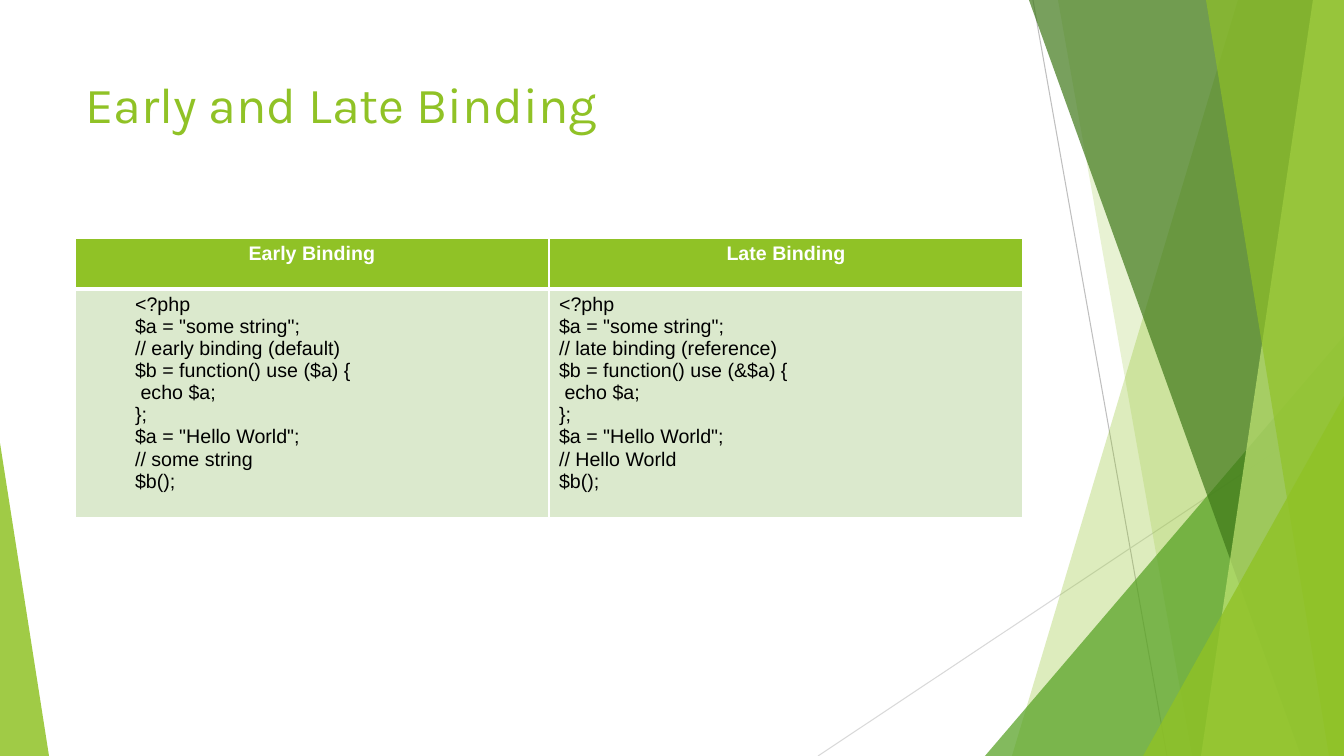
"""Build the slide that compares early and late binding in PHP closures."""
from lxml.etree import SubElement
from pptx import Presentation
from pptx.dml.color import RGBColor
from pptx.enum.shapes import MSO_CONNECTOR, MSO_SHAPE
from pptx.enum.text import MSO_ANCHOR, MSO_AUTO_SIZE, PP_ALIGN
from pptx.oxml import parse_xml
from pptx.oxml.ns import nsdecls, qn
from pptx.util import Emu, Pt

EMU_PER_PIXEL = 914400 / 100.8
SLIDE_WIDTH, SLIDE_HEIGHT = 1344, 756
COLORS = {
    "accent": "90C226",
    "leaf": "54A021",
    "forest": "3F7819",
    "lime": "C0E474",
    "pale": "DBE9CD",
    "steep_line": "BFBFBF",
    "flat_line": "D9D9D9",
    "white": "FFFFFF",
    "black": "000000",
}
TITLE_FONT = {"name": "Karla", "size": Pt(36), "bold": False}
HEADER_FONT = {"name": "Arial", "size": Pt(14), "bold": True}
CODE_FONT = {"name": "Arial", "size": Pt(14), "bold": False}

RAYS = [
    ("steep_line", (1033, 0), (1167, 756)),
    ("flat_line", (1344, 406), (818, 756)),
]
BACK_BANDS = [
    (1238, 1344, 1012, "accent", 30),
    (1058, 1344, 1192, "accent", 20),
]
FRONT_BANDS = [
    (1029, 1344, 1301, "forest", 70),
    (1313, 1344, 1201, "lime", 70),
    (1206, 1344, 1329, "accent", 65),
]
BACK_WEDGE = (985, 336, 359, 420), 1, "leaf", 72
FRONT_WEDGES = [
    ((1143, 396, 201, 360), 1, "accent", 80),
    ((0, 443, 49, 313), 0, "accent", 85),
]
CODE_TEMPLATE = """<?php
$a = "some string";
// {kind}
$b = function() use ({variable}) {{
 echo $a;
}};
$a = "Hello World";
// {result}
$b();"""
BINDINGS = [
    ("Early Binding", 50, {"kind": "early binding (default)", "variable": "$a", "result": "some string"}),
    ("Late Binding", 0, {"kind": "late binding (reference)", "variable": "&$a", "result": "Hello World"}),
]


def px(length):
    """Turn pixels into EMU."""
    return Emu(round(length * EMU_PER_PIXEL))


def rgb(color):
    """Look up a named colour."""
    return RGBColor.from_string(COLORS[color])


def format_font(font, color, values):
    """Apply format values and a colour to a font."""
    for attribute, value in values.items():
        setattr(font, attribute, value)
    font.color.rgb = rgb(color)


def tint(facet, color, opacity):
    """Give a facet a translucent fill without line or shadow."""
    facet.shadow.inherit = False
    facet.line.fill.background()
    facet.fill.solid()
    facet.fill.fore_color.rgb = rgb(color)
    srgb = facet.fill._xPr.find(qn("a:solidFill")).find(qn("a:srgbClr"))
    SubElement(srgb, qn("a:alpha")).set("val", str(opacity * 1000))


def add_ray(slide, color, start, end):
    """Draw a thin decorative line."""
    ray = slide.shapes.add_connector(MSO_CONNECTOR.STRAIGHT, *map(px, start + end))
    ray.line.color.rgb = rgb(color)
    ray.line.width = Pt(0.75)
    SubElement(ray._element.spPr, qn("a:effectLst"))


def add_band(slide, top_left, right, bottom_left, color, opacity):
    """Draw a full-height band with a slanted left edge."""
    builder = slide.shapes.build_freeform(top_left, 0, scale=EMU_PER_PIXEL)
    corners = [(right, 0), (right, SLIDE_HEIGHT), (bottom_left, SLIDE_HEIGHT)]
    builder.add_line_segments(corners, close=True)
    tint(builder.convert_to_shape(), color, opacity)


def add_wedge(slide, box, apex, color, opacity):
    """Draw a right-angled triangle with its apex at one side."""
    wedge = slide.shapes.add_shape(MSO_SHAPE.ISOSCELES_TRIANGLE, *map(px, box))
    wedge.adjustments[0] = apex
    tint(wedge, color, opacity)


def add_backdrop(slide):
    """Draw the decorative facets from back to front."""
    for ray in RAYS:
        add_ray(slide, *ray)
    for band in BACK_BANDS:
        add_band(slide, *band)
    add_wedge(slide, *BACK_WEDGE)
    for band in FRONT_BANDS:
        add_band(slide, *band)
    for wedge in FRONT_WEDGES:
        add_wedge(slide, *wedge)


def set_title(slide, text):
    """Place and format the title."""
    title = slide.shapes.title
    box = {"left": px(75), "top": px(68), "width": px(948), "height": px(145)}
    for attribute, value in box.items():
        setattr(title, attribute, value)
    frame = title.text_frame
    frame.text = text
    frame.auto_size = MSO_AUTO_SIZE.NONE
    frame.vertical_anchor = MSO_ANCHOR.TOP
    heading = frame.paragraphs[0]
    heading.alignment = PP_ALIGN.LEFT
    format_font(heading.runs[0].font, "accent", TITLE_FONT)


def set_borders(cell, widths):
    """Give a cell white borders with a width in points per side."""
    properties = cell._tc.get_or_add_tcPr()
    for index, (side, width) in enumerate(widths.items()):
        border = parse_xml(
            f'<a:ln{side} {nsdecls("a")} w="{Pt(width)}"><a:solidFill>'
            f'<a:srgbClr val="{COLORS["white"]}"/></a:solidFill></a:ln{side}>'
        )
        properties.insert(index, border)


def fill_cell(cell, text, fill, color, font, alignment, indent, borders):
    """Write and format the lines of a table cell."""
    cell.text = text
    cell.fill.solid()
    cell.fill.fore_color.rgb = rgb(fill)
    set_borders(cell, borders)
    for line in cell.text_frame.paragraphs:
        line.alignment = alignment
        line._p.get_or_add_pPr().set("marL", str(px(indent)))
        format_font(line.runs[0].font, color, font)


def add_comparison(slide):
    """Add the table with one column per kind of binding."""
    table = slide.shapes.add_table(2, len(BINDINGS), *map(px, (75, 238, 948, 280))).table
    for row, height in zip(table.rows, (51, 229)):
        row.height = px(height)
    for column, (heading, indent, words) in enumerate(BINDINGS):
        fill_cell(table.cell(0, column), heading, "accent", "white", HEADER_FONT,
                  PP_ALIGN.CENTER, 0, {"L": 1, "R": 1, "T": 1, "B": 3})
        fill_cell(table.cell(1, column), CODE_TEMPLATE.format(**words), "pale", "black",
                  CODE_FONT, PP_ALIGN.LEFT, indent, {"L": 1, "R": 1, "T": 3, "B": 1})


def main():
    """Build and save the slide."""
    deck = Presentation()
    deck.slide_width, deck.slide_height = px(SLIDE_WIDTH), px(SLIDE_HEIGHT)
    slide = deck.slides.add_slide(deck.slide_layouts[5])
    add_backdrop(slide)
    set_title(slide, "Early and Late Binding")
    add_comparison(slide)
    deck.save("out.pptx")


main()
